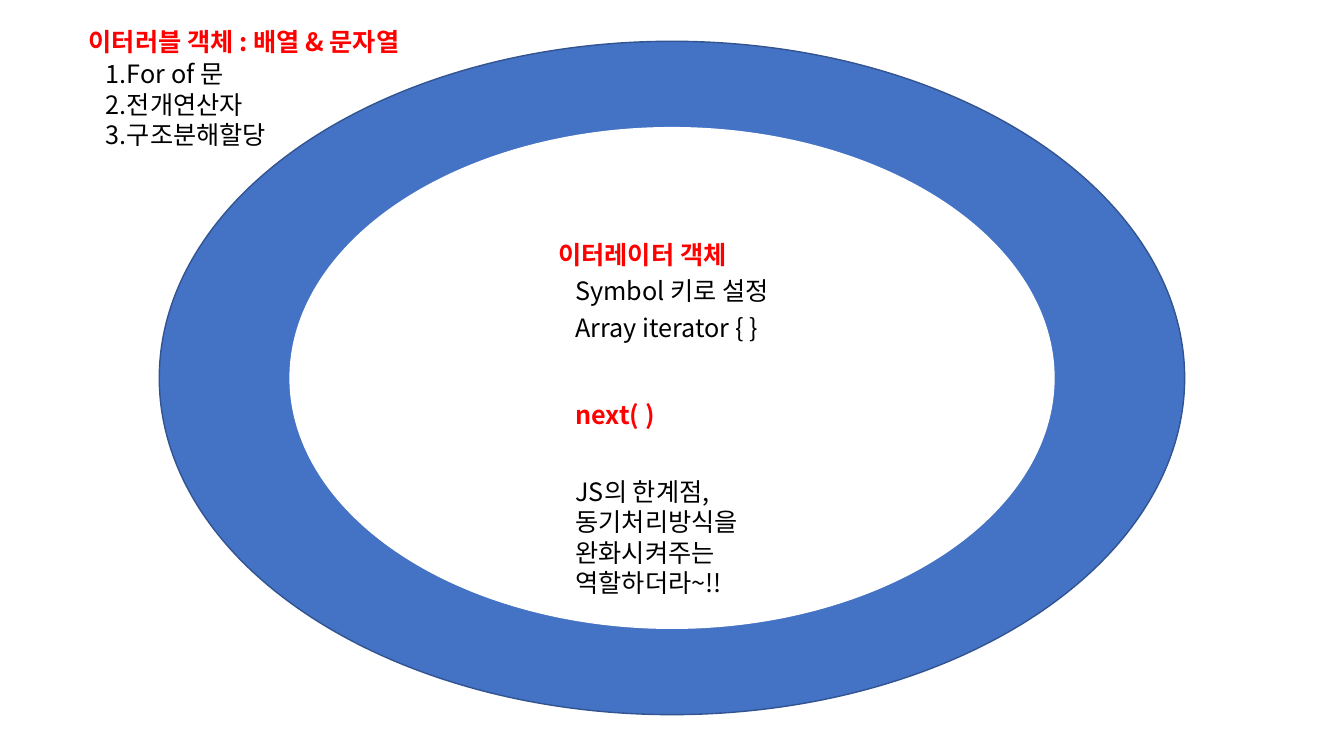
from dataclasses import dataclass

from lxml.etree import SubElement
from pptx import Presentation
from pptx.dml.color import RGBColor
from pptx.enum.shapes import MSO_SHAPE
from pptx.enum.text import MSO_ANCHOR, PP_ALIGN
from pptx.oxml.ns import qn
from pptx.slide import Slide
from pptx.util import Inches, Pt

FONT = "Noto Sans CJK KR"
RED, BLACK, WHITE, BLUE, NAVY = "FF0000", "000000", "FFFFFF", "4472C4", "325491"


@dataclass
class Ring:
    left: float
    top: float
    width: float
    height: float
    fill: str
    line: str | None = None


@dataclass
class Note:
    left: float
    top: float
    width: float
    height: float
    lines: list[str]
    heading: bool = False


RINGS = [
    Ring(1.58, 0.41, 10.17, 6.68, BLUE, NAVY),
    Ring(2.87, 1.26, 7.59, 4.98, WHITE),
]
TITLE = Note(0.78, 0.21, 4.16, 0.4, ["이터러블 객체 : 배열 & 문자열"], True)
USES = Note(0.95, 0.53, 1.94, 1.01, ["1.For of 문", "2.전개연산자", "3.구조분해할당"])
ITERATOR_NOTES = [
    Note(5.44, 2.32, 3.23, 0.4, ["이터레이터 객체"], True),
    Note(5.61, 2.68, 2.7, 0.4, ["Symbol 키로 설정"]),
    Note(5.61, 3.05, 2.7, 0.4, ["Array iterator { }"]),
    Note(5.61, 3.91, 2.7, 0.4, ["next( )"], True),
    Note(5.61, 4.67, 2.7, 1.01, ["JS의 한계점, 동기처리방식을 완화시켜주는 역할하더라~!!"]),
]


def rgb(color: str) -> RGBColor:
    return RGBColor.from_string(color)


def add_ring(s: Slide, ring: Ring) -> None:
    sp = s.shapes.add_shape(
        MSO_SHAPE.OVAL, Inches(ring.left), Inches(ring.top),
        Inches(ring.width), Inches(ring.height))
    sp.shadow.inherit = False
    sp.fill.solid()
    sp.fill.fore_color.rgb = rgb(ring.fill)
    if ring.line:
        sp.line.color.rgb = rgb(ring.line)
        sp.line.width = Pt(1)
    else:
        sp.line.fill.background()


def write_note(sp, note: Note) -> None:
    """Place a text box or placeholder and fill it, one paragraph a line."""
    sp.left, sp.top = Inches(note.left), Inches(note.top)
    sp.width, sp.height = Inches(note.width), Inches(note.height)
    tf = sp.text_frame
    tf.word_wrap = True
    tf.vertical_anchor = MSO_ANCHOR.TOP
    for i, line in enumerate(note.lines):
        p = tf.add_paragraph() if i else tf.paragraphs[0]
        p.alignment = PP_ALIGN.LEFT
        p.line_spacing = Pt(21.8)
        p.space_before = p.space_after = Pt(0)
        pPr = p._p.get_or_add_pPr()
        pPr.set("marL", "0")
        pPr.set("indent", "0")
        SubElement(pPr, qn("a:buNone"))
        r = p.add_run()
        r.text = line
        r.font.name, r.font.size = FONT, Pt(18)
        r.font.bold = note.heading
        r.font.color.rgb = rgb(RED if note.heading else BLACK)
        SubElement(r._r.get_or_add_rPr(), qn("a:ea")).set("typeface", FONT)


def main() -> None:
    prs = Presentation()
    prs.slide_width, prs.slide_height = Inches(13.33), Inches(7.5)
    s = prs.slides.add_slide(prs.slide_layouts[1])
    for ring in RINGS:
        add_ring(s, ring)
    write_note(s.shapes.title, TITLE)
    write_note(s.placeholders[1], USES)
    for note in ITERATOR_NOTES:
        sp = s.shapes.add_textbox(0, 0, 0, 0)
        write_note(sp, note)
    prs.save("out.pptx")


if __name__ == "__main__":
    main()
